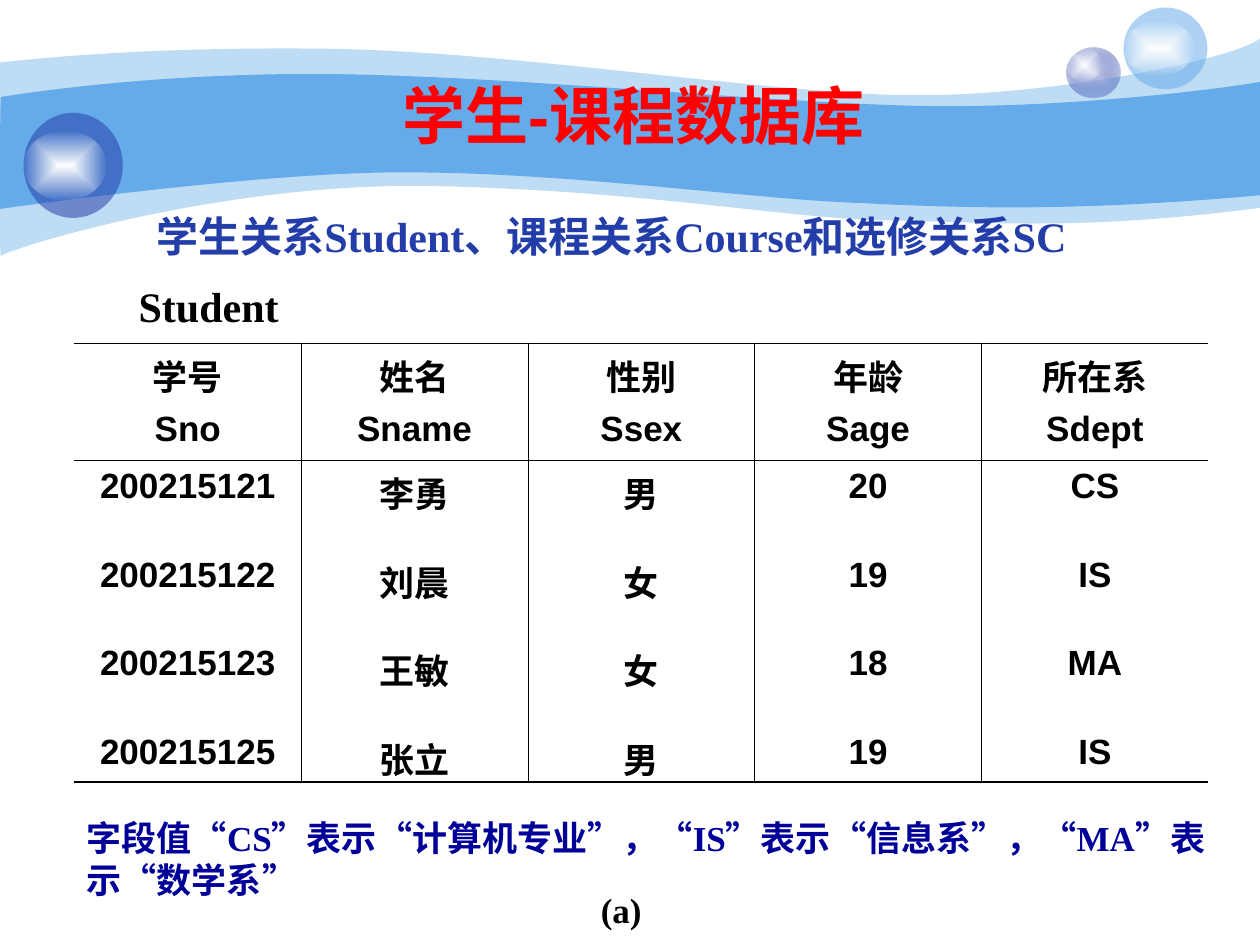
from dataclasses import dataclass
from typing import Optional

from lxml.etree import SubElement
from pptx import Presentation
from pptx.dml.color import RGBColor
from pptx.enum.shapes import MSO_SHAPE as Preset
from pptx.enum.text import MSO_ANCHOR as Anchor, PP_ALIGN as Align
from pptx.oxml import parse_xml
from pptx.oxml.ns import nsdecls, qn
from pptx.util import Pt

COLORS = {
    "sky": "65AAE9", "navy": "233DA9", "lilac": "C6CCE8", "white": "FFFFFF",
    "glow": "FEFEFE", "red": "FF0000", "black": "000000", "note": "000099",
}


@dataclass
class Wave:
    """Outline of curves (three points) and straight lines (one point)."""
    start: tuple
    segments: tuple
    opacity: int


@dataclass
class Ball:
    left: float
    top: float
    width: float
    height: float
    color: str
    opacity: int
    center_color: Optional[str] = None


@dataclass
class Label:
    text: str
    left: float
    top: float
    width: float
    height: float
    size: float
    color: str
    align: Align = Align.LEFT
    anchor: Anchor = Anchor.TOP
    wrap: bool = True
    font: str = "Times New Roman"


WAVES = (
    Wave((0, 35.7), (
        ((17, 34), (77, 27), (178, 27.8)), ((278, 28), (414, 50), (503, 54)),
        ((590, 58), (706, 34), (720, 22)), ((720, 118.8),),
        ((618, 132), (567, 127), (508, 126)), ((448, 125), (371, 109), (247, 106.3)),
        ((124, 104), (3, 143), (0.7, 146.3)), ((-1, 150), (0, 54), (0, 35.7))), 41),
    Wave((0.5, 55.4), (
        ((1, 55.4), (79, 42), (179, 42.3)), ((278, 42.3), (428, 57.8), (517, 60.3)),
        ((606, 63), (703, 50), (720, 46.8)), ((720, 111.6),),
        ((614, 121), (551, 119), (491, 116)), ((431, 114), (322, 98), (228, 98.5)),
        ((146, 98.5), (-1.4, 119.5), (-0.7, 119.5)),
        ((0, 119.5), (0, 55.4), (0.5, 55.4))), 100),
)
BALLS = (
    Ball(609.3, 27, 30.8, 29, "navy", 31, "lilac"),
    Ball(609.3, 27, 20, 19.5, "glow", 0, "white"),
    Ball(642, 4.3, 48, 46.7, "sky", 53),
    Ball(642, 12, 40.5, 31, "glow", 0, "white"),
    Ball(13.5, 64.5, 56.7, 60, "navy", 53),
    Ball(13.5, 74.5, 47.5, 40, "glow", 0, "white"),
)
TITLE = Label("学生-课程数据库", 71, 43.3, 582, 44.6, 36, "red",
              Align.CENTER, Anchor.MIDDLE, font="Arial")
LABELS = (
    Label("(a)", 82, 504, 546, 31.5, 20, "black", Align.CENTER),
    Label("Student", 57, 150.5, 124.5, 48, 24, "black",
          Align.CENTER, Anchor.MIDDLE, wrap=False),
    Label("学生关系Student、课程关系Course和选修关系SC",
          82.3, 116.6, 590, 36, 24, "navy"),
    Label("字段值“CS”表示“计算机专业”，“IS”表示“信息系”，“MA”表示“数学系”",
          42.5, 463, 658, 55.5, 20, "note"),
)
STUDENTS = (
    ("学号\nSno", "姓名\nSname", "性别\nSsex", "年龄\nSage", "所在系\nSdept"),
    ("200215121", "李勇", "男", "20", "CS"),
    ("200215122", "刘晨", "女", "19", "IS"),
    ("200215123", "王敏", "女", "18", "MA"),
    ("200215125", "张立", "男", "19", "IS"),
)
ROW_HEIGHTS = (66.9, 50.6, 50.6, 50.6, 31.7)
COLUMN_WIDTH = 129.6
THICK, THIN = 1.08, 0.45


def rgb(name: str) -> RGBColor:
    return RGBColor.from_string(COLORS[name])


def finish_shape(shape, color: str, opacity: int) -> None:
    shape.shadow.inherit = False
    shape.line.fill.background()
    shape.fill.solid()
    shape.fill.fore_color.rgb = rgb(color)
    if opacity < 100:
        color_element = shape.element.spPr.find(".//" + qn("a:srgbClr"))
        SubElement(color_element, qn("a:alpha"), val=str(opacity * 1000))


def draw_wave(slide, wave: Wave) -> None:
    """Lay out all points as lines, then join each three into a curve."""
    builder = slide.shapes.build_freeform(*map(Pt, wave.start))
    points = [tuple(map(Pt, point)) for segment in wave.segments for point in segment]
    builder.add_line_segments(points, close=True)
    shape = builder.convert_to_shape()
    lines = iter(list(shape.element.spPr.iter(qn("a:lnTo"))))
    for segment in wave.segments:
        first, *others = [next(lines) for _ in segment]
        if others:
            first.tag = qn("a:cubicBezTo")
        for line in others:
            first.append(line[0])
            line.getparent().remove(line)
    finish_shape(shape, "sky", wave.opacity)


def draw_ball(slide, ball: Ball) -> None:
    shape = slide.shapes.add_shape(
        Preset.OVAL, Pt(ball.left), Pt(ball.top), Pt(ball.width), Pt(ball.height))
    finish_shape(shape, ball.color, ball.opacity)
    if ball.center_color:
        solid = shape.element.spPr.find(qn("a:solidFill"))
        solid.getparent().replace(solid, parse_xml(
            f'<a:gradFill {nsdecls("a")} rotWithShape="1"><a:gsLst>'
            f'<a:gs pos="0"><a:srgbClr val="{COLORS[ball.center_color]}"/></a:gs>'
            f'<a:gs pos="100000"><a:srgbClr val="{COLORS[ball.color]}">'
            f'<a:alpha val="{ball.opacity * 1000}"/></a:srgbClr></a:gs></a:gsLst>'
            '<a:path path="rect"><a:fillToRect l="50000" t="50000" r="50000" b="50000"/>'
            '</a:path></a:gradFill>'))


def format_font(paragraph, name: str, size: float, color: str) -> None:
    for run in paragraph.runs:
        for key, value in {"name": name, "size": Pt(size), "bold": True}.items():
            setattr(run.font, key, value)
        run.font.color.rgb = rgb(color)


def fill_label(shape, label: Label) -> None:
    box = {"left": label.left, "top": label.top,
           "width": label.width, "height": label.height}
    for key, value in box.items():
        setattr(shape, key, Pt(value))
    frame = shape.text_frame
    frame.text = label.text
    frame.word_wrap = label.wrap
    frame.vertical_anchor = label.anchor
    paragraph = frame.paragraphs[0]
    paragraph.alignment = label.align
    format_font(paragraph, label.font, label.size, label.color)


def set_borders(cell, widths: dict) -> None:
    """Put a black line on each side; a width of 0 means no line."""
    properties = cell._tc.get_or_add_tcPr()
    for index, (side, width) in enumerate(widths.items()):
        fill = (f'<a:solidFill><a:srgbClr val="{COLORS["black"]}"/></a:solidFill>'
                if width else "<a:noFill/>")
        properties.insert(index, parse_xml(
            f'<a:ln{side} {nsdecls("a")} w="{Pt(width)}">{fill}</a:ln{side}>'))


def draw_students(slide) -> None:
    rows, columns = len(STUDENTS), len(STUDENTS[0])
    table = slide.shapes.add_table(
        rows, columns, Pt(42.5), Pt(196.3),
        Pt(COLUMN_WIDTH * columns), Pt(sum(ROW_HEIGHTS))).table
    table.first_row = table.horz_banding = False
    for column in table.columns:
        column.width = Pt(COLUMN_WIDTH)
    edges = (THICK, THIN) + (0,) * (rows - 2) + (THICK,)
    for i, texts in enumerate(STUDENTS):
        table.rows[i].height = Pt(ROW_HEIGHTS[i])
        for j, text in enumerate(texts):
            cell = table.cell(i, j)
            cell.text = text
            cell.fill.background()
            set_borders(cell, {"L": THIN if j else 0,
                               "R": THIN if j < columns - 1 else 0,
                               "T": edges[i], "B": edges[i + 1]})
            for k, paragraph in enumerate(cell.text_frame.paragraphs):
                paragraph.alignment = Align.CENTER
                if k:
                    paragraph.space_before = Pt(5)
                format_font(paragraph, "Arial", 20, "black")


def main() -> None:
    presentation = Presentation()
    presentation.slide_width, presentation.slide_height = Pt(720), Pt(540)
    slide = presentation.slides.add_slide(presentation.slide_layouts[5])
    for wave in WAVES:
        draw_wave(slide, wave)
    for ball in BALLS:
        draw_ball(slide, ball)
    title = slide.shapes.title
    slide.shapes.element.append(title.element)  # in front of the waves
    fill_label(title, TITLE)
    for label in LABELS:
        fill_label(slide.shapes.add_textbox(0, 0, 0, 0), label)
    draw_students(slide)
    presentation.save("out.pptx")


if __name__ == "__main__":
    main()
